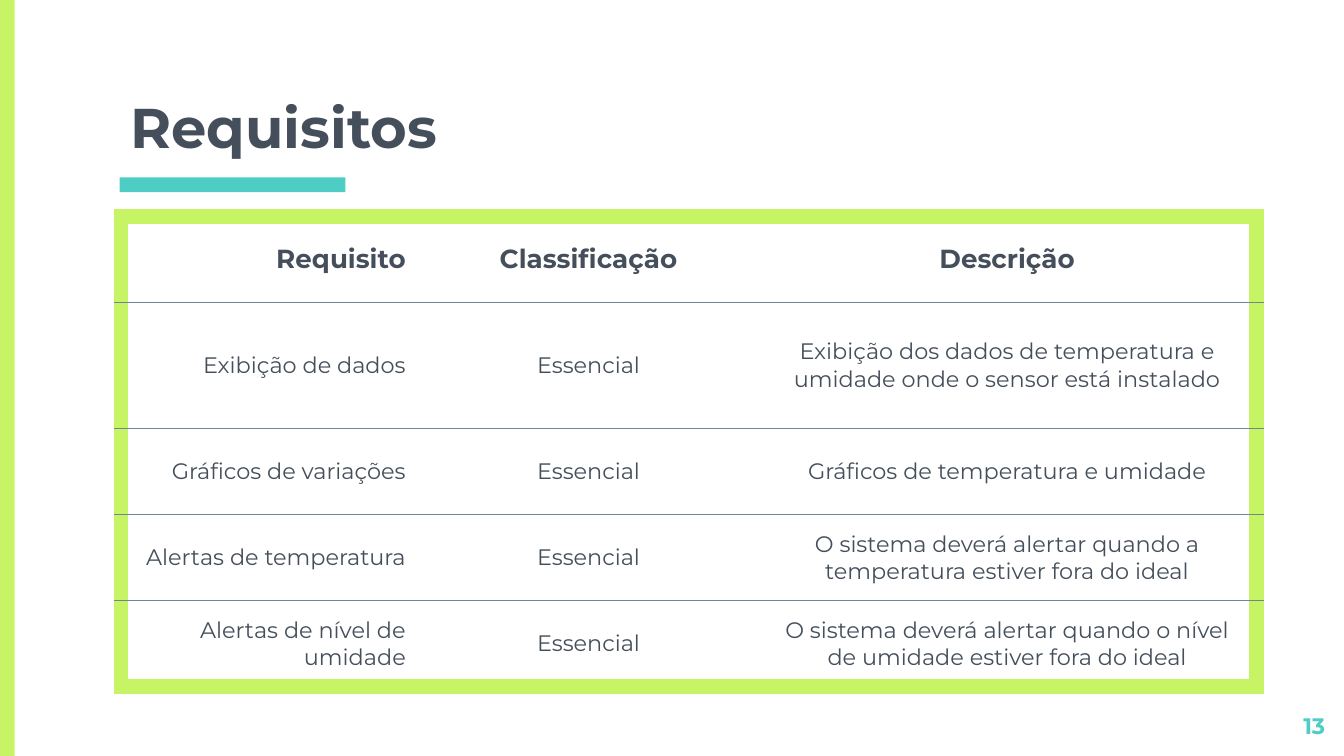
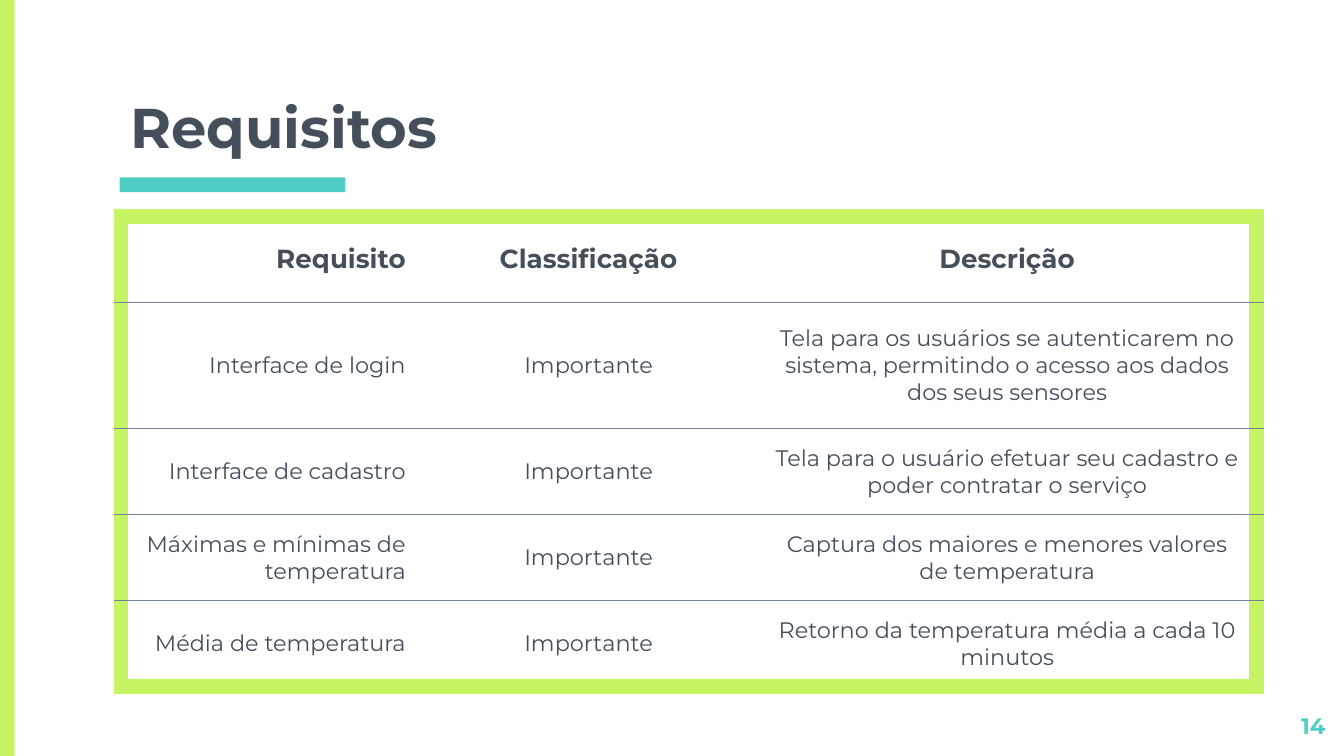
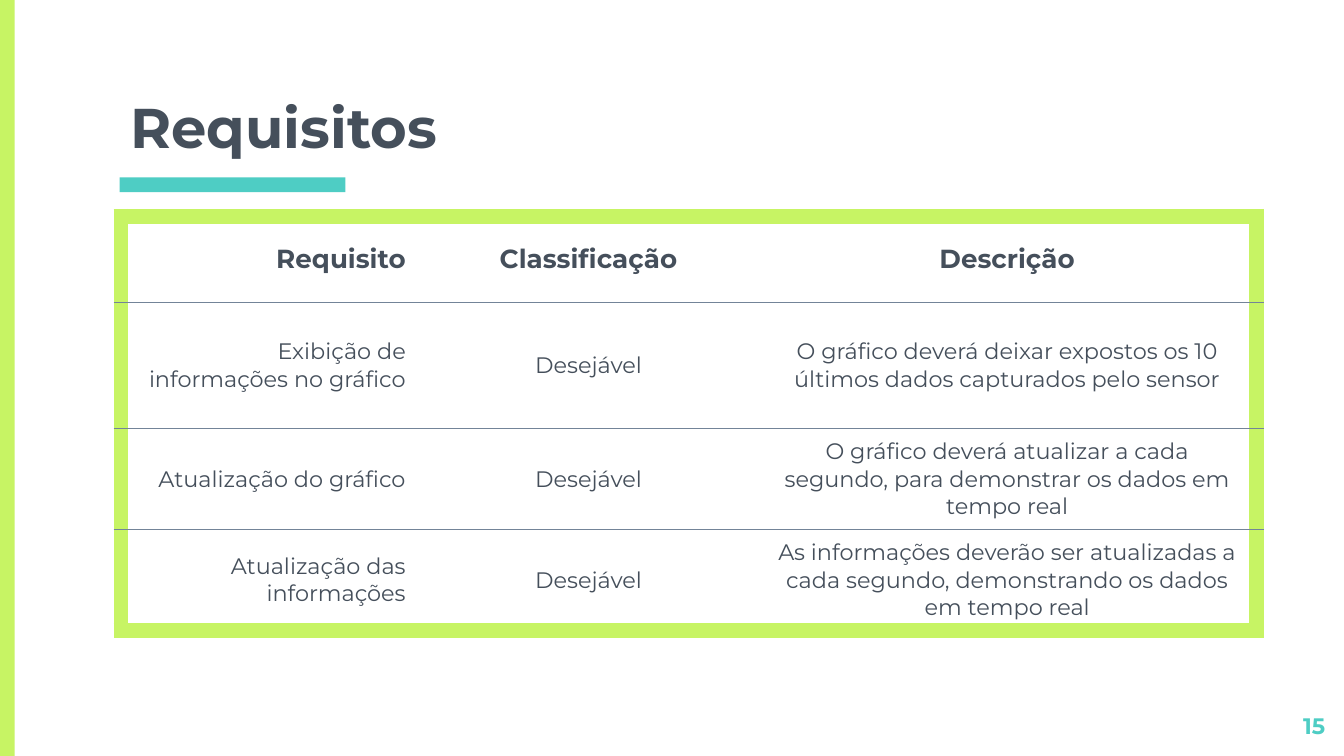
from lxml.etree import SubElement
from pptx import Presentation
from pptx.dml.color import RGBColor
from pptx.enum.shapes import MSO_SHAPE
from pptx.enum.text import MSO_ANCHOR, MSO_AUTO_SIZE, PP_ALIGN
from pptx.oxml.ns import qn
from pptx.util import Inches, Pt

C = {"lime": "C7F464", "teal": "4ECDC4", "ink": "454F5B", "rule": "738498"}
FONT = "Montserrat"
FRAME = ("lime", 9)
RULE = ("rule", 0.75)
COLS = (2.22, 2.52, 3.71)
ROW, TALL_ROW = 0.64, 0.94
ALIGNS = (PP_ALIGN.RIGHT, PP_ALIGN.CENTER, PP_ALIGN.CENTER)
HEADER = ("Requisito", "Classificação", "Descrição")
SLIDES = [
    (13, "Essencial", 3.49, [
        ("Exibição de dados",
         "Exibição dos dados de temperatura e umidade onde o sensor está instalado"),
        ("Gráficos de variações", "Gráficos de temperatura e umidade"),
        ("Alertas de temperatura",
         "O sistema deverá alertar quando a temperatura estiver fora do ideal"),
        ("Alertas de nível de umidade",
         "O sistema deverá alertar quando o nível de umidade estiver fora do ideal"),
    ]),
    (14, "Importante", 3.49, [
        ("Interface de login",
         "Tela para os usuários se autenticarem no sistema, "
         "permitindo o acesso aos dados dos seus sensores"),
        ("Interface de cadastro",
         "Tela para o usuário efetuar seu cadastro e poder contratar o serviço"),
        ("Máximas e mínimas de temperatura",
         "Captura dos maiores e menores valores de temperatura"),
        ("Média de temperatura", "Retorno da temperatura média a cada 10 minutos"),
    ]),
    (15, "Desejável", 3.08, [
        ("Exibição de informações no gráfico",
         "O gráfico deverá deixar expostos os 10 últimos dados capturados pelo sensor"),
        ("Atualização do gráfico",
         "O gráfico deverá atualizar a cada segundo, "
         "para demonstrar os dados em tempo real"),
        ("Atualização das informações",
         "As informações deverão ser atualizadas a cada segundo, "
         "demonstrando os dados em tempo real"),
    ]),
]


def add_text(tf, text, size, color, bold, align):
    """Write one formatted run into the first paragraph."""
    p = tf.paragraphs[0]
    p.alignment = align
    r = p.add_run()
    r.text = text
    r.font.name = FONT
    r.font.size = Pt(size)
    r.font.bold = bold
    r.font.color.rgb = RGBColor.from_string(C[color])


def set_frame(tf, anchor):
    """Give a text frame the shared insets, wrapping and anchor."""
    tf.word_wrap = True
    tf.auto_size = MSO_AUTO_SIZE.NONE
    tf.vertical_anchor = anchor
    tf.margin_left = tf.margin_right = Inches(0.1)
    tf.margin_top = tf.margin_bottom = Inches(0.1)


def add_band(s, box, color):
    """Draw a plain coloured bar."""
    sp = s.shapes.add_shape(MSO_SHAPE.RECTANGLE, *box)
    sp.shadow.inherit = False
    sp.fill.solid()
    sp.fill.fore_color.rgb = RGBColor.from_string(C[color])
    sp.line.fill.background()


def add_title(s, box, text):
    """Place and format the title placeholder."""
    sp = s.shapes.title
    sp.left, sp.top, sp.width, sp.height = map(Inches, box)
    set_frame(sp.text_frame, MSO_ANCHOR.BOTTOM)
    add_text(sp.text_frame, text, 30, "ink", True, PP_ALIGN.LEFT)


def add_number(s, box, number):
    """Write the slide number."""
    tf = s.shapes.add_textbox(*map(Inches, box)).text_frame
    set_frame(tf, MSO_ANCHOR.TOP)
    add_text(tf, str(number), 12, "teal", True, PP_ALIGN.RIGHT)


def set_borders(cell, borders):
    """Set the left, right, top and bottom borders of a cell."""
    tc_pr = cell._tc.get_or_add_tcPr()
    for side, border in zip("LRTB", borders):
        ln = SubElement(tc_pr, qn(f"a:ln{side}"))
        if border:
            color, width = border
            ln.set("w", str(Pt(width)))
            fill = SubElement(ln, qn("a:solidFill"))
            SubElement(fill, qn("a:srgbClr")).set("val", C[color])
        else:
            SubElement(ln, qn("a:noFill"))


def add_requirements(s, box, rows):
    """Build the framed requirements table."""
    frame = s.shapes.add_table(len(rows), len(COLS), *map(Inches, box))
    table = frame.table
    table.first_row = table.horz_banding = False
    for col, width in zip(table.columns, COLS):
        col.width = Inches(width)
    last_row, last_col = len(rows) - 1, len(COLS) - 1
    for i, row in enumerate(rows):
        table.rows[i].height = Inches(TALL_ROW if i == 1 else ROW)
        for j, (text, align) in enumerate(zip(row, ALIGNS)):
            cell = table.cell(i, j)
            set_borders(cell, (FRAME if j == 0 else None,
                               FRAME if j == last_col else None,
                               FRAME if i == 0 else RULE,
                               FRAME if i == last_row else RULE))
            cell.fill.background()
            cell.vertical_anchor = MSO_ANCHOR.MIDDLE
            cell.margin_left = cell.margin_right = Inches(0.1)
            cell.margin_top = cell.margin_bottom = Inches(0.07)
            add_text(cell.text_frame, text, 12 if i else 14, "ink", i == 0, align)
    frame.width, frame.height = map(Inches, box[2:])


def add_slide(prs, number, level, height, items):
    """Build one requirements slide."""
    s = prs.slides.add_slide(prs.slide_layouts[5])
    add_band(s, (0, 0, Inches(0.11), prs.slide_height), "lime")
    add_band(s, map(Inches, (0.89, 1.32, 1.68, 0.11)), "teal")
    add_title(s, (0.87, 0.75, 8.49, 0.54), "Requisitos")
    rows = [HEADER] + [(name, level, detail) for name, detail in items]
    add_requirements(s, (0.9, 1.61, 8.46, height), rows)
    add_number(s, (9.36, 5.2, 0.6, 0.34), number)


def main():
    """Build and save the presentation."""
    prs = Presentation()
    prs.slide_width = Inches(10)
    prs.slide_height = prs.slide_width * 9 // 16
    for content in SLIDES:
        add_slide(prs, *content)
    prs.save("out.pptx")


if __name__ == "__main__":
    main()
